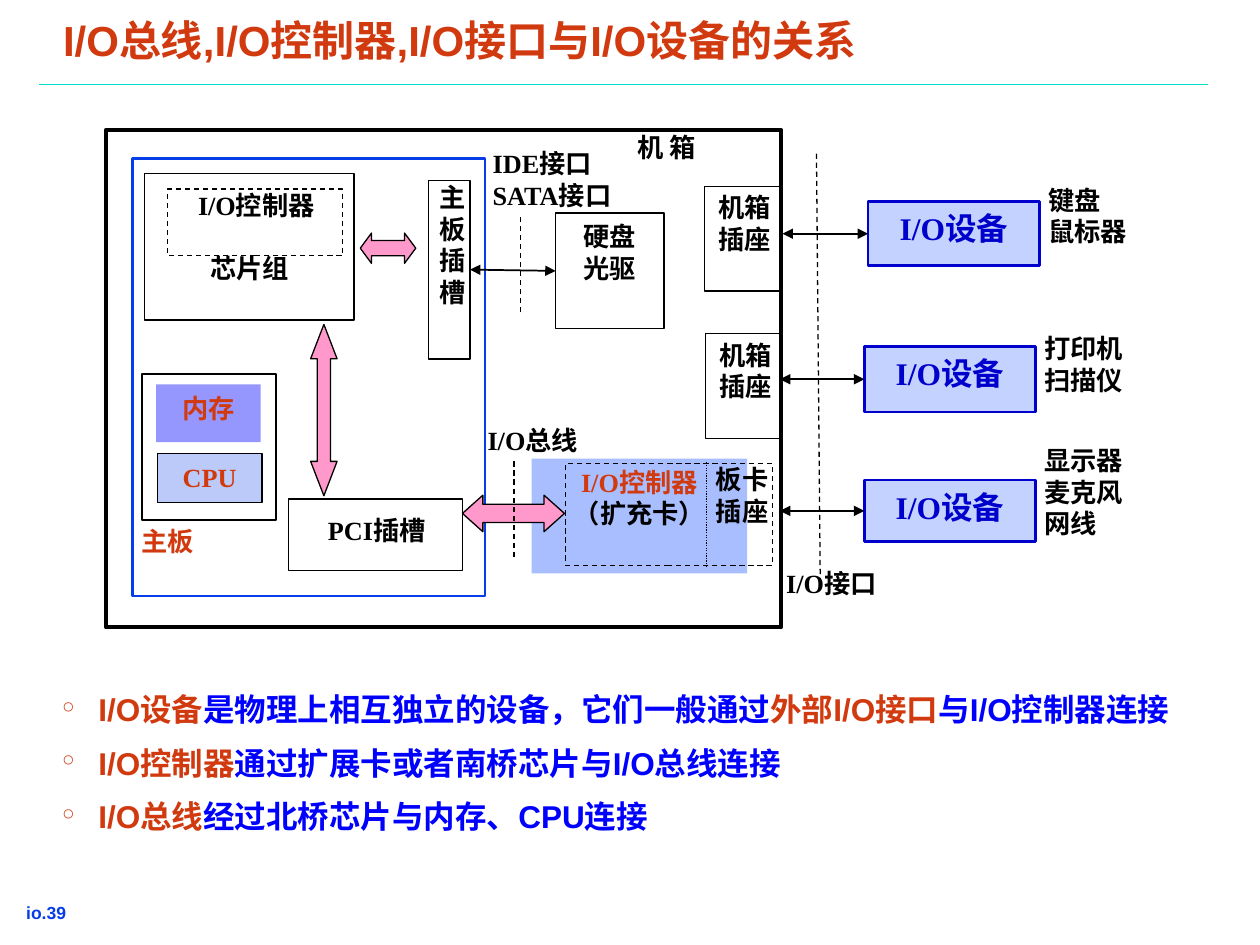
from dataclasses import dataclass
from typing import Optional

from lxml.etree import SubElement
from pptx import Presentation
from pptx.dml.color import RGBColor
from pptx.enum.dml import MSO_LINE as Dash
from pptx.enum.shapes import MSO_CONNECTOR as Conn, MSO_SHAPE as Kind
from pptx.enum.text import MSO_ANCHOR as Anchor, PP_ALIGN as Align
from pptx.oxml.ns import qn
from pptx.util import Inches, Pt

BLACK = RGBColor(0x00, 0x00, 0x00)
WHITE = RGBColor(0xFF, 0xFF, 0xFF)
RED = RGBColor(0xD1, 0x39, 0x0F)
BLUE = RGBColor(0x00, 0x00, 0xFF)
NAVY = RGBColor(0x00, 0x00, 0xCC)
ROYAL = RGBColor(0x06, 0x3D, 0xE8)
SKY = RGBColor(0x33, 0x66, 0xFF)
PINK = RGBColor(0xFF, 0x99, 0xCC)
TEAL = RGBColor(0x00, 0xDF, 0xCA)
SANS, SERIF = "Arial", "Times New Roman"


@dataclass
class Text:
    lines: list[tuple[str, RGBColor]]
    align: Align = Align.CENTER
    size: float = 15
    space: float = 1.0


@dataclass
class Box:
    at: tuple[float, float, float, float]
    line: Optional[RGBColor] = BLACK
    width: float = 0.75
    dash: Optional[Dash] = None
    fill: Optional[RGBColor] = None
    alpha: int = 100
    text: Optional[Text] = None


@dataclass
class Arrow:
    at: tuple[float, float, float, float]
    head: float
    turn: int = 0


@dataclass
class Device:
    at: tuple[float, float, float, float]
    start: float
    names: list[str]
    label: tuple[float, float, float, float]


def black(*lines: str) -> list[tuple[str, RGBColor]]:
    return [(line, BLACK) for line in lines]


def add_run(para, words: str, color: RGBColor, size: float, face: str) -> None:
    run = para.add_run()
    run.text = words
    font = run.font
    font.name, font.size, font.bold = face, Pt(size), True
    font.color.rgb = color


def set_frame(frame, side: float, top: float, wrap: bool = True) -> None:
    frame.word_wrap = wrap
    frame.vertical_anchor = Anchor.TOP
    frame.margin_left = frame.margin_right = Inches(side)
    frame.margin_top = frame.margin_bottom = Inches(top)


def fill_text(shape, text: Text) -> None:
    frame = shape.text_frame
    set_frame(frame, 0.13, 0.06)
    for i, (words, color) in enumerate(text.lines):
        para = frame.add_paragraph() if i else frame.paragraphs[0]
        para.alignment, para.line_spacing = text.align, text.space
        add_run(para, words, color, text.size, SERIF)


def add_label(slide, at, text: Text) -> None:
    fill_text(slide.shapes.add_textbox(*map(Inches, at)), text)


def paint(shape, fill, alpha: int, line, width: float) -> None:
    shape.shadow.inherit = False
    if fill is None:
        shape.fill.background()
    else:
        shape.fill.solid()
        shape.fill.fore_color.rgb = fill
        if alpha < 100:
            tone = shape.fill._xPr.find(qn("a:solidFill"))[0]
            SubElement(tone, qn("a:alpha"), val=str(alpha * 1000))
    if line is None:
        shape.line.fill.background()
    else:
        shape.line.color.rgb = line
        shape.line.width = Pt(width)


def add_box(slide, box: Box):
    shape = slide.shapes.add_shape(Kind.RECTANGLE, *map(Inches, box.at))
    paint(shape, box.fill, box.alpha, box.line, box.width)
    if box.dash is not None:
        shape.line.dash_style = box.dash
    if box.text:
        fill_text(shape, box.text)
    return shape


def add_arrow(slide, arrow: Arrow) -> None:
    shape = slide.shapes.add_shape(Kind.LEFT_RIGHT_ARROW, *map(Inches, arrow.at))
    shape.adjustments[0], shape.adjustments[1] = 0.5, arrow.head
    shape.rotation = arrow.turn
    paint(shape, PINK, 100, BLACK, 0.75)


def add_line(slide, ends, color=BLACK, width=0.75, dash=None, heads=False):
    line = slide.shapes.add_connector(Conn.STRAIGHT, *map(Inches, ends))
    line.line.color.rgb, line.line.width = color, Pt(width)
    if dash is not None:
        line.line.dash_style = dash
    if heads:
        for tag in ("a:headEnd", "a:tailEnd"):
            SubElement(line.line._get_or_add_ln(), qn(tag), type="triangle")
    SubElement(line._element.spPr, qn("a:effectLst"))
    return line


def add_device(slide, dev: Device) -> None:
    left, top, _, high = dev.at
    shape = add_box(slide, Box(dev.at, NAVY, 1.5, None, SKY, 29,
                               Text([("I/O设备", NAVY)], size=18)))
    mid = top + high / 2
    link = add_line(slide, (dev.start, mid, left, mid), width=1, heads=True)
    link.end_connect(shape, 1)
    add_label(slide, dev.label, Text(black(*dev.names), Align.JUSTIFY))


def add_socket(slide, left: float, top: float) -> None:
    add_box(slide, Box((left, top, 0.6, 0.83)))
    add_label(slide, (left - 0.11, top - 0.02, 0.86, 0.91), Text(black("机箱插座")))


def add_points(slide, points) -> None:
    frame = slide.shapes.add_textbox(*map(Inches, (0.42, 5.39, 9.58, 1.26))).text_frame
    set_frame(frame, 0.07, 0.03)
    for i, runs in enumerate(points):
        para = frame.add_paragraph() if i else frame.paragraphs[0]
        props = para._p.get_or_add_pPr()
        props.set("marL", str(Inches(0.29)))
        props.set("indent", str(-Inches(0.29)))
        SubElement(SubElement(props, qn("a:buClr")), qn("a:srgbClr"), val=str(RED))
        SubElement(props, qn("a:buChar"), char="°")
        para.line_spacing = 1.2
        if i:
            para.space_before = Pt(4.5)
        for words, color in runs:
            add_run(para, words, color, 18, SANS)


BOXES = [
    Box((1.05, 1.26, 2.8, 3.47), ROYAL, 1.5),
    Box((0.84, 1.03, 5.36, 3.95), width=2.25),
    Box((1.25, 3.6, 0.83, 0.39), fill=ROYAL, alpha=27, text=Text([("CPU", RED)])),
    Box((1.24, 3.05, 0.83, 0.46), None, fill=BLUE, alpha=41, text=Text([("内存", RED)])),
    Box((4.22, 3.64, 1.71, 0.91), None, fill=SKY, alpha=42,
        text=Text([("I/O控制器", RED), ("（扩充卡）", BLACK)])),
    Box((4.49, 3.68, 1.64, 0.81), dash=Dash.DASH),
    Box((1.33, 1.5, 1.39, 0.53), dash=Dash.DASH),
    Box((2.29, 3.96, 1.38, 0.57)),
    Box((1.15, 1.38, 1.66, 1.16)),
    Box((1.13, 2.97, 1.06, 1.16), width=1),
]
LABELS = [
    ((3.74, 3.31, 1.24, 0.66), Text(black("I/O总线"), Align.JUSTIFY)),
    ((6.11, 4.44, 1.27, 0.73), Text(black("I/O接口"), Align.JUSTIFY)),
    ((0.99, 4.11, 0.91, 0.69), Text([("主板", RED)], Align.JUSTIFY)),
    ((5.46, 3.62, 0.86, 0.91), Text(black("板卡插座"))),
    ((1.16, 1.44, 1.75, 0.62), Text(black("I/O控制器"))),
    ((2.14, 4.02, 1.7, 0.84), Text(black("PCI插槽"))),
    ((3.3, 1.38, 0.58, 1.56), Text(black("主板插槽"))),
    ((4.93, 0.88, 0.97, 0.73), Text(black("机 箱"), Align.JUSTIFY, space=1.4)),
    ((1.54, 1.94, 1.16, 0.73), Text(black("芯片组"), Align.JUSTIFY)),
    ((3.78, 1.11, 1.28, 0.66), Text(black("IDE接口", "SATA接口"), Align.JUSTIFY)),
]
ARROWS = [Arrow((3.67, 3.93, 0.81, 0.29), 0.56), Arrow((2.86, 1.85, 0.44, 0.24), 0.37),
          Arrow((1.89, 3.15, 1.36, 0.21), 1.3, 90)]
DEVICES = [
    Device((6.89, 1.6, 1.36, 0.51), 6.21, ["键盘", "鼠标器"], (8.19, 1.4, 1.21, 1.05)),
    Device((6.86, 2.75, 1.36, 0.52), 6.19, ["打印机", "扫描仪"], (8.16, 2.58, 1.23, 0.95)),
    Device((6.86, 3.81, 1.36, 0.49), 6.19, ["显示器", "麦克风", "网线"],
           (8.16, 3.47, 1.21, 1.2)),
]
DASHES = [(6.48, 1.22, 6.51, 4.61), (4.08, 4.42, 4.08, 3.64), (4.13, 2.48, 4.13, 1.7)]
POINTS = [
    [("I/O设备", RED), ("是物理上相互独立的设备，它们一般通过", BLUE),
     ("外部I/O接口", RED), ("与I/O控制器连接", BLUE)],
    [("I/O控制器", RED), ("通过扩展卡或者南桥芯片与I/O总线连接", BLUE)],
    [("I/O总线", RED), ("经过北桥芯片与内存、CPU连接", BLUE)],
]


def main() -> None:
    deck = Presentation()
    deck.slide_width, deck.slide_height = Inches(10), Inches(7.5)
    slide = deck.slides.add_slide(deck.slide_layouts[5])

    # Title, rule and page mark
    title = slide.shapes.title
    title.left, title.top, title.width, title.height = map(Inches, (0.43, 0.16, 8.89, 0.38))
    set_frame(title.text_frame, 0.07, 0.03)
    para = title.text_frame.paragraphs[0]
    para.alignment, para.line_spacing = Align.LEFT, 0.8
    add_run(para, "I/O总线,I/O控制器,I/O接口与I/O设备的关系", RED, 24, SANS)
    add_line(slide, (0.31, 0.67, 9.59, 0.67), TEAL, 1)
    mark = slide.shapes.add_textbox(*map(Inches, (0.1, 7.13, 1.01, 0.22))).text_frame
    set_frame(mark, 0.07, 0.03, wrap=False)
    add_run(mark.paragraphs[0], " io.39", ROYAL, 10, SANS)

    # Case, board and chips
    for box in BOXES:
        add_box(slide, box)
    for left, top in ((5.59, 1.48), (5.6, 2.65)):
        add_socket(slide, left, top)
    for at, text in LABELS:
        add_label(slide, at, text)

    # Board slot linked to the drives
    slot = add_box(slide, Box((3.4, 1.43, 0.33, 1.42)))
    drive = add_box(slide, Box((4.41, 1.69, 0.86, 0.92), fill=WHITE,
                               text=Text(black("硬盘光驱"))))
    link = add_line(slide, (3.73, 2.14, 4.41, 2.15), width=1, heads=True)
    link.begin_connect(slot, 3)
    link.end_connect(drive, 1)

    # Buses, interface lines and devices
    for arrow in ARROWS:
        add_arrow(slide, arrow)
    for ends in DASHES:
        add_line(slide, ends, dash=Dash.DASH)
    add_line(slide, (5.61, 3.67, 5.61, 4.49), dash=Dash.ROUND_DOT)
    for dev in DEVICES:
        add_device(slide, dev)

    add_points(slide, POINTS)
    deck.save("out.pptx")


if __name__ == "__main__":
    main()
